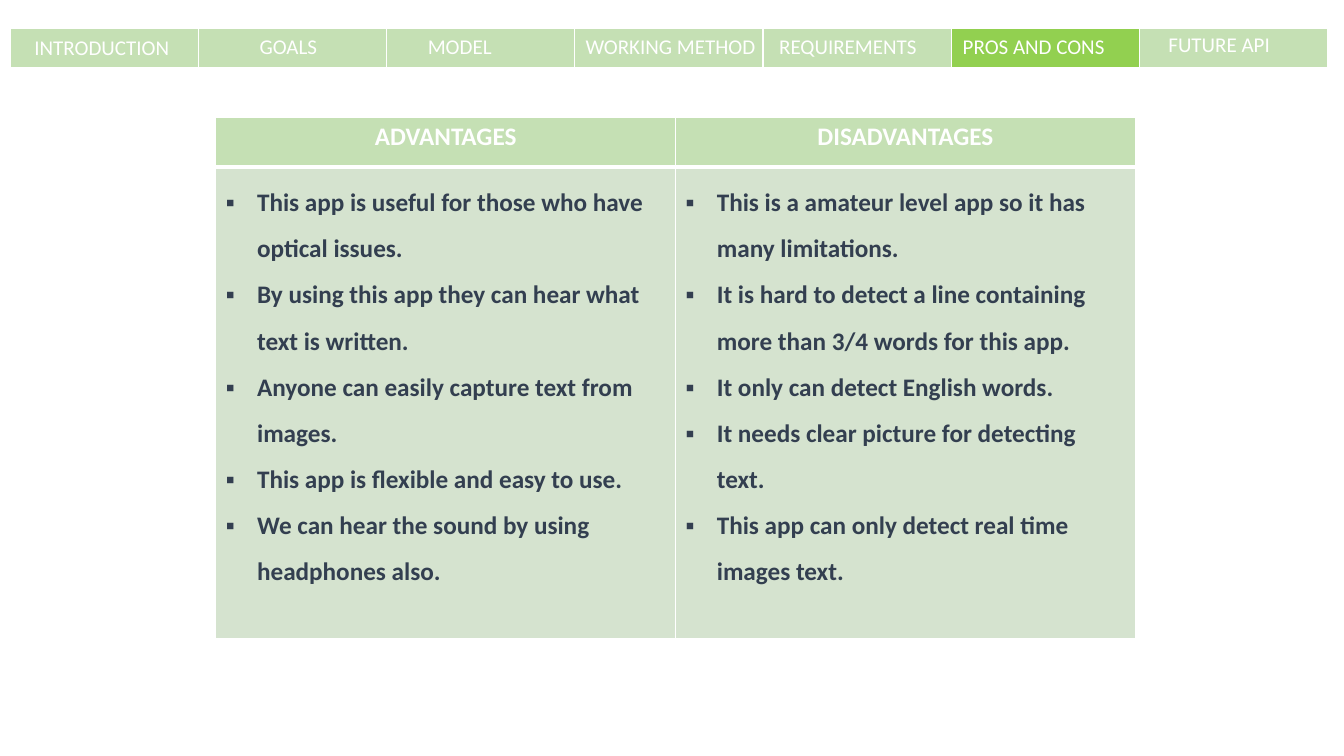
from lxml import etree
from pptx import Presentation
from pptx.dml.color import RGBColor
from pptx.enum.text import MSO_AUTO_SIZE, PP_ALIGN
from pptx.oxml.ns import qn
from pptx.util import Inches, Pt

WHITE = RGBColor(0xFF, 0xFF, 0xFF)
GREEN = RGBColor(0xC5, 0xE0, 0xB4)
BRIGHT = RGBColor(0x92, 0xD0, 0x50)
PALE = RGBColor(0xD5, 0xE3, 0xCF)
NAVY = RGBColor(0x33, 0x3F, 0x50)

MID, LEFT = PP_ALIGN.CENTER, PP_ALIGN.LEFT
ACTIVE = "PROS AND CONS"
# label, left, top, width, alignment
TABS = [
    ("INTRODUCTION", 0, 0.29, 2.02, MID),
    ("GOALS", 2.34, 0.28, 1.04, MID),
    ("MODEL", 3.83, 0.28, 1.46, MID),
    ("WORKING METHOD", 5.42, 0.28, 2.46, MID),
    ("REQUIREMENTS", 7.63, 0.28, 1.8, LEFT),
    (ACTIVE, 9.45, 0.28, 1.81, LEFT),
    ("FUTURE API", 11.49, 0.26, 1.34, LEFT),
]
POINTS = {
    "ADVANTAGES": [
        "This app is useful for those who have optical issues.",
        "By using this app they can hear what text is written.",
        "Anyone can easily capture text from images.",
        "This app is flexible and easy to use.",
        "We can hear the sound by using headphones also.",
    ],
    "DISADVANTAGES": [
        "This is a amateur level app so it has many limitations.",
        "It is hard to detect a line containing more than 3/4 words for this app.",
        "It only can detect English words.",
        "It needs clear picture for detecting text.",
        "This app can only detect real time images text.",
    ],
}


def style(font, size, color, bold=False):
    values = {"name": "Calibri", "size": Pt(size), "bold": bold}
    for key, value in values.items():
        setattr(font, key, value)
    font.color.rgb = color


def paint(cell, color, base):
    """Fill a cell and give it white borders, the bottom one base points wide."""
    props = cell._tc.get_or_add_tcPr()
    for side, width in (("L", 1), ("R", 1), ("T", 1), ("B", base)):
        line = etree.SubElement(props, qn(f"a:ln{side}"), w=str(Pt(width)))
        fill = etree.SubElement(line, qn("a:solidFill"))
        etree.SubElement(fill, qn("a:srgbClr"), val=str(WHITE))
    cell.fill.solid()
    cell.fill.fore_color.rgb = color


def add_grid(slide, heights, cols, left, top, width):
    box = [Inches(n) for n in (left, top, width, sum(heights))]
    grid = slide.shapes.add_table(len(heights), cols, *box).table
    for row, height in zip(grid.rows, heights):
        row.height = Inches(height)
    return grid


def add_bullet(para):
    props = para._p.get_or_add_pPr()
    props.set("marL", str(Inches(0.31)))
    props.set("indent", str(-Inches(0.31)))
    para.line_spacing = 1.5
    etree.SubElement(props, qn("a:buFont"), typeface="Wingdings")
    etree.SubElement(props, qn("a:buChar"), char="▪")
    props.find(qn("a:buFont")).set("typeface", "Calibri")


def add_tabs(slide):
    bar = add_grid(slide, [0.4], len(TABS), 0.1, 0.28, 13.07)
    for cell, (label, left, top, width, align) in zip(bar.rows[0].cells, TABS):
        paint(cell, BRIGHT if label == ACTIVE else GREEN, 3)
        box = [Inches(n) for n in (left, top, width, 0.35)]
        frame = slide.shapes.add_textbox(*box).text_frame
        frame.word_wrap = True
        frame.auto_size = MSO_AUTO_SIZE.SHAPE_TO_FIT_TEXT
        para = frame.paragraphs[0]
        para.text, para.alignment = label, align
        style(para.runs[0].font, 15, WHITE)


def add_points(slide):
    grid = add_grid(slide, [0.5, 4.68], len(POINTS), 2.14, 1.16, 9.12)
    for col, (title, lines) in enumerate(POINTS.items()):
        head, body = grid.cell(0, col), grid.cell(1, col)
        paint(head, GREEN, 3)
        paint(body, PALE, 1)
        para = head.text_frame.paragraphs[0]
        para.text, para.alignment = title, MID
        style(para.runs[0].font, 18, WHITE, True)
        body.text = "\n".join(lines)
        for para in body.text_frame.paragraphs:
            add_bullet(para)
            style(para.runs[0].font, 18, NAVY, True)


def main():
    deck = Presentation()
    deck.slide_width, deck.slide_height = Inches(13.33), Inches(7.5)
    slide = deck.slides.add_slide(deck.slide_layouts[6])
    add_tabs(slide)
    add_points(slide)
    deck.save("out.pptx")


if __name__ == "__main__":
    main()
